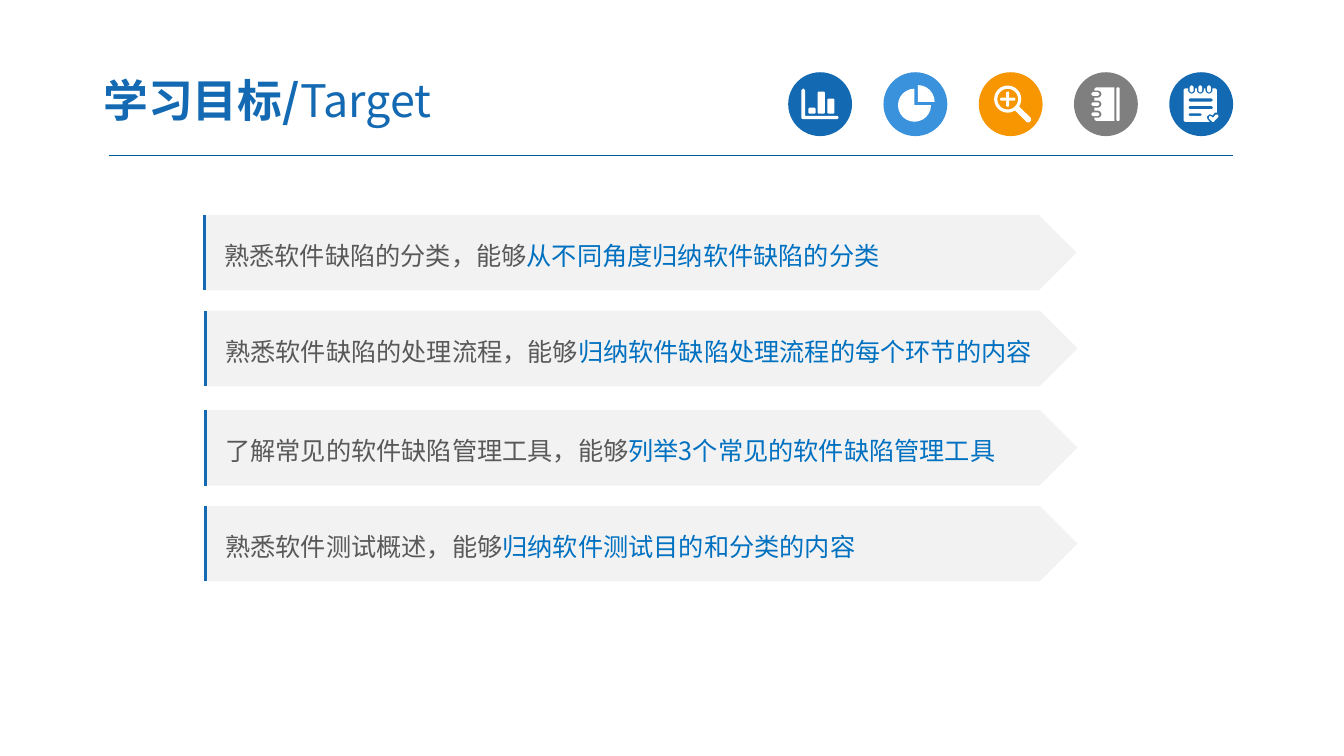
from math import cos, radians, sin

from lxml.etree import SubElement
from pptx import Presentation
from pptx.dml.color import RGBColor
from pptx.enum.shapes import MSO_CONNECTOR, MSO_SHAPE
from pptx.enum.text import MSO_ANCHOR, MSO_AUTO_SIZE, PP_ALIGN
from pptx.oxml.ns import qn
from pptx.util import Pt

COLORS = {
    "blue": "1369B2", "sky": "3992DB", "orange": "F79600", "gray": "7F7F7F",
    "white": "FFFFFF", "rule": "005B9E", "arrow": "F2F2F2",
    "text": "595959", "highlight": "0070C0",
}
FONT = "Noto Sans CJK SC"

presentation = Presentation()
presentation.slide_width, presentation.slide_height = Pt(960), Pt(540)
slide = presentation.slides.add_slide(presentation.slide_layouts[5])
filled = []  # (shape, colour)
runs = []  # (paragraph, text, size, colour, bold)


def box(left, top, right, bottom, cut=0):
    """Outline of a box with its corners cut off."""
    return [(left + cut, top), (right - cut, top), (right, top + cut),
            (right, bottom - cut), (right - cut, bottom), (left + cut, bottom),
            (left, bottom - cut), (left, top + cut)]


def arc(x, y, radius, start, end):
    """Points on an arc, about one for each 15 degrees, clockwise from the right."""
    steps = round(abs(end - start) / 15)
    angles = [radians(start + (end - start) * step / steps) for step in range(steps + 1)]
    return [(x + radius * cos(angle), y + radius * sin(angle)) for angle in angles]


# Title
title = slide.shapes.title
title.left, title.top, title.width, title.height = Pt(64.4), Pt(45.4), Pt(376), Pt(51.8)
frame = title.text_frame
frame.auto_size = MSO_AUTO_SIZE.NONE
frame.vertical_anchor = MSO_ANCHOR.MIDDLE
frame.margin_left = frame.margin_right = Pt(9.4)
frame.margin_top = frame.margin_bottom = Pt(5)
paragraph = frame.paragraphs[0]
paragraph.alignment = PP_ALIGN.LEFT
runs += [(paragraph, "学习目标/", 32, "blue", True), (paragraph, "Target", 32, "blue", False)]

# Rule under the title
rule = slide.shapes.add_connector(MSO_CONNECTOR.STRAIGHT, Pt(77.8), Pt(111.4), Pt(880.6), Pt(111.4))
rule.line.color.rgb = RGBColor.from_string(COLORS["rule"])
rule.line.width = Pt(0.75)
SubElement(rule._element.spPr, qn("a:effectLst"))

# Icon outlines, measured from the centre of the circle
chart_outlines = [
    [(-13.3, -10), (-12, -11.2), (-10.6, -10), (-10.6, 8.3), (12.4, 8.3),
     (13.3, 9.5), (12.4, 10.7), (-12.4, 10.7), (-13.3, 9.9)],
    box(-8.3, 2.5, -3.2, 6.8, 0.7),
    box(-1.8, -9, 3.4, 6.8, 0.7),
    box(5.2, -4, 10.2, 6.8, 0.7),
]
pie_outlines = [
    arc(1.8, -1.6, 12, 270, 360) + [(1.8, -1.6)],
    arc(-0.6, 0.8, 11.8, 0, 270) + [(-0.6, 0.8)],
]
magnifier_outlines = [
    arc(-2.1, -3.6, 9.7, 57, 393) + [(14.4, 9.8), (14.6, 11.6), (13.2, 13.1), (11.4, 12.8)],
    arc(-2.1, -3.6, 7.4, 0, 360),
    box(-7.5, -4.7, 3.3, -2.5, 0.6),
    box(-3.2, -9, -1, -4.7, 0.6),
    box(-3.2, -2.5, -1, 1.8, 0.6),
]
notebook_cover = [(-7.2, -11.9), (6.1, -11.9), (6.1, 11.9), (-7.2, 11.9), (-8.3, 10.8)]
for ring in (7.2, 0, -7.2):
    notebook_cover += [(-8.3, ring + 2.5), *arc(-5.7, ring, 2.5, 90, -90), (-8.3, ring - 2.5)]
notebook_cover.append((-8.3, -10.8))
notebook_outlines = [notebook_cover, box(7.5, -11.9, 9.8, 11.9, 0.5)]
notebook_outlines += [box(-10.4, ring - 1.3, -4.6, ring + 1.3, 1) for ring in (-7.2, 0, 7.2)]

notepad_page = [(-12.6, -10.2), (-11.6, -11.2)]
NOTEPAD_RINGS = (-6.8, -0.6, 5.6)
for ring in NOTEPAD_RINGS:
    notepad_page += [(ring - 2.5, -11.2), *arc(ring, -10, 2.5, 180, 0), (ring + 2.5, -11.2)]
notepad_page += [(10.2, -11.2), (11.2, -10.2), (11.2, 6), (9.7, 6), (8.3, 8), (6.2, 7.2),
                 (4.2, 8.6), (4.4, 10.6), (6, 12.6), (-11.6, 12.6), (-12.6, 11.6)]
notepad_outlines = [
    notepad_page,
    box(-9, -4, 8.3, -1.8, 0.8),
    box(-9, 1.3, 8.3, 3.6, 0.8),
    box(-9, 6.7, 0.4, 8.4, 0.6),
    [(12.4, 9), (9, 12.6), (8, 12.6), (5.4, 10.2), (6, 8.4), (7, 8.6),
     (8.4, 9.7), (10.4, 7.6), (12, 7.6)],
]
notepad_outlines += [box(ring - 1.4, -13.3, ring + 1.4, -8.4, 1) for ring in NOTEPAD_RINGS]

# Row of round icons
CIRCLE, PITCH = 45.6, 68.05
icons = [("blue", chart_outlines), ("sky", pie_outlines), ("orange", magnifier_outlines),
         ("gray", notebook_outlines), ("blue", notepad_outlines)]
for index, (color, outlines) in enumerate(icons):
    left, top = 563 + index * PITCH, 51.6
    group = slide.shapes.add_group_shape()
    circle = group.shapes.add_shape(MSO_SHAPE.OVAL, Pt(left), Pt(top), Pt(CIRCLE), Pt(CIRCLE))
    contours = [[(Pt(left + CIRCLE / 2 + x), Pt(top + CIRCLE / 2 + y)) for x, y in outline]
                for outline in outlines]
    builder = group.shapes.build_freeform(*contours[0][0])
    builder.add_line_segments(contours[0][1:], close=True)
    for contour in contours[1:]:
        builder.move_to(*contour[0])
        builder.add_line_segments(contour[1:], close=True)
    filled += [(circle, color), (builder.convert_to_shape(), "white")]

# Learning goals in arrow boxes with a blue edge
ARROW_WIDTH, ARROW_HEIGHT, EDGE_WIDTH = 623.5, 54, 9.4
goals = [
    (145.5, 153.4, "熟悉软件缺陷的分类，能够", "从不同角度归纳软件缺陷的分类"),
    (146.2, 221.9, "熟悉软件缺陷的处理流程，能够", "归纳软件缺陷处理流程的每个环节的内容"),
    (146.2, 292.8, "了解常见的软件缺陷管理工具，能够", "列举3个常见的软件缺陷管理工具"),
    (146.2, 361.3, "熟悉软件测试概述，能够", "归纳软件测试目的和分类的内容"),
]
for left, top, opening, highlight in goals:
    group = slide.shapes.add_group_shape()
    arrow = group.shapes.add_shape(MSO_SHAPE.PENTAGON, Pt(left), Pt(top),
                                   Pt(ARROW_WIDTH), Pt(ARROW_HEIGHT))
    filled.append((arrow, "arrow"))
    frame = arrow.text_frame
    frame.word_wrap = True
    frame.vertical_anchor = MSO_ANCHOR.MIDDLE
    frame.margin_left = Pt(14.8)
    paragraph = frame.paragraphs[0]
    paragraph.alignment = PP_ALIGN.LEFT
    paragraph.line_spacing = 1.2
    runs += [(paragraph, opening, 18, "text", False),
             (paragraph, highlight, 18, "highlight", False)]

    builder = group.shapes.build_freeform(Pt(left + 0.6), Pt(top + ARROW_HEIGHT))
    builder.add_line_segments([(Pt(left + 0.6), Pt(top))], close=False)
    edge = builder.convert_to_shape()
    edge.width = Pt(EDGE_WIDTH)
    for outline in edge._element.iter(qn("a:path")):
        outline.set("w", str(Pt(EDGE_WIDTH)))
    edge.shadow.inherit = False
    edge.fill.background()
    edge.line.color.rgb = RGBColor.from_string(COLORS["blue"])
    edge.line.width = Pt(1.5)

# Fills and text runs
for shape, color in filled:
    shape.shadow.inherit = False
    shape.fill.solid()
    shape.fill.fore_color.rgb = RGBColor.from_string(COLORS[color])
    shape.line.fill.background()
for paragraph, text, size, color, bold in runs:
    run = paragraph.add_run()
    run.text = text
    run.font.size = Pt(size)
    run.font.bold = bold
    run.font.name = FONT
    run.font.color.rgb = RGBColor.from_string(COLORS[color])
    SubElement(run.font._element, qn("a:ea")).set("typeface", FONT)

presentation.save("out.pptx")
